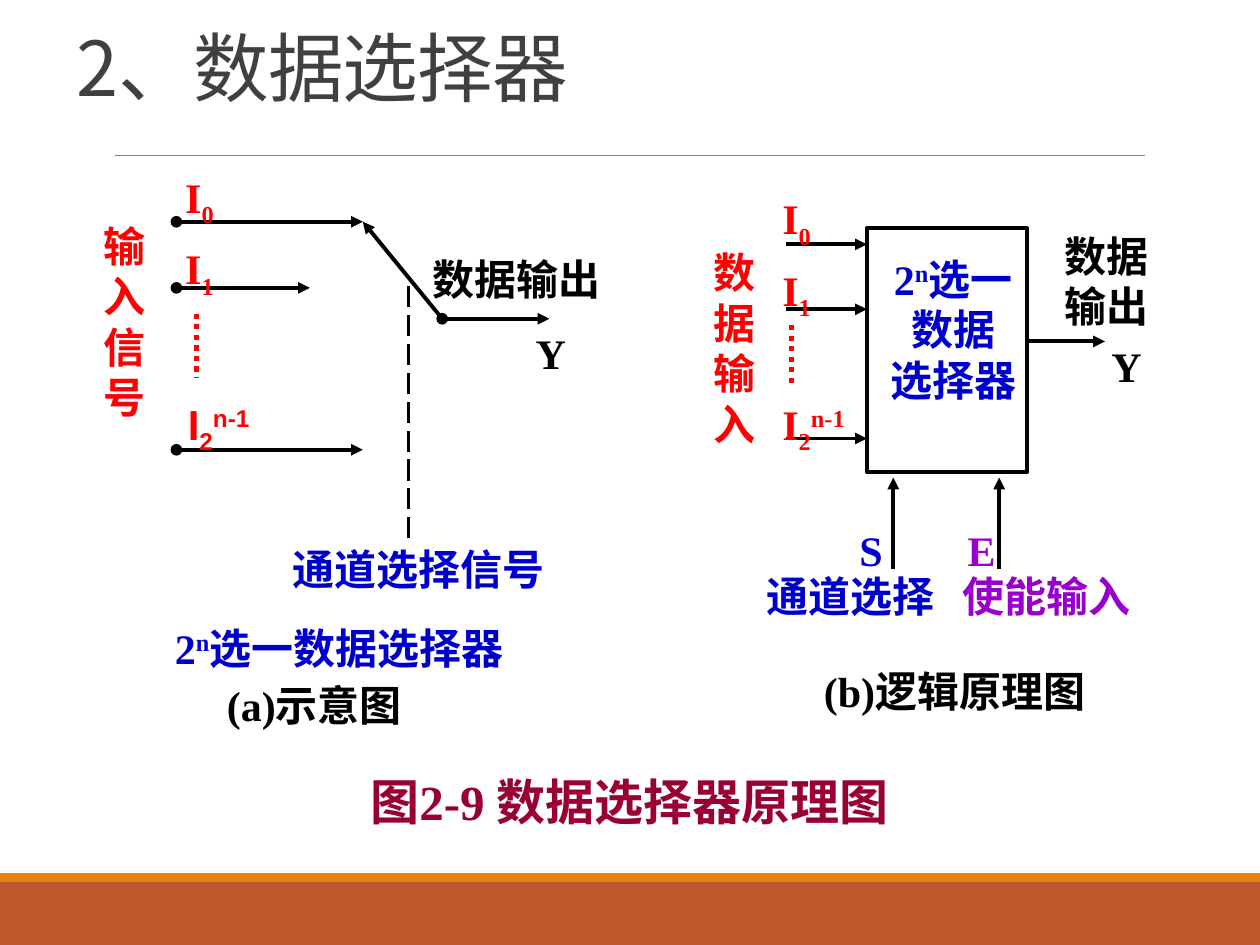
"""Build the data selector slide with its two diagrams."""
import dataclasses

import lxml.etree
import pptx
import pptx.dml.color
import pptx.enum.shapes
import pptx.enum.text
import pptx.oxml.ns
import pptx.util

Inches = pptx.util.Inches
ALIGN = pptx.enum.text.PP_ALIGN
SHAPE = pptx.enum.shapes.MSO_SHAPE
SUB, SUPER = -25000, 30000


@dataclasses.dataclass(frozen=True)
class Theme:
    """Hold colours, fonts and type sizes."""
    black: str = "000000"
    white: str = "FFFFFF"
    red: str = "FF0000"
    blue: str = "0000CC"
    purple: str = "9900CC"
    wine: str = "990033"
    title: str = "404040"
    rule: str = "808080"
    bar: str = "BD582C"
    stripe: str = "E48312"
    latin: str = "Times New Roman"
    sans: str = "Arial"
    chinese: str = "Noto Sans CJK SC"
    body_size: float = 24
    caption_size: float = 28
    title_size: float = 43.2


THEME = Theme()


def rgb(value):
    """Return a colour object for a hex value."""
    return pptx.dml.color.RGBColor.from_string(value)


def add_child(parent, tag, **attributes):
    """Append a drawing element to a parent element."""
    return lxml.etree.SubElement(parent, pptx.oxml.ns.qn(tag), attributes)


def write(frame, text, color=THEME.black, size=THEME.body_size, font=THEME.latin,
          bold=True, align=ALIGN.LEFT, indent=0, gaps=(), line_spacing=None, tracking=None):
    """Write paragraphs, each a string or a list of (text, baseline) runs."""
    paragraphs = [text] if isinstance(text, str) else text
    for index, content in enumerate(paragraphs):
        paragraph = frame.add_paragraph() if index else frame.paragraphs[0]
        paragraph.alignment = align
        paragraph.line_spacing = line_spacing
        if gaps:
            paragraph.space_before = pptx.util.Pt(gaps[index])
        if indent:
            properties = paragraph._p.get_or_add_pPr()
            properties.set("marL", str(Inches(indent)))
            properties.set("indent", "0")
        for words, baseline in [(content, 0)] if isinstance(content, str) else content:
            run = paragraph.add_run()
            run.text = words
            run.font.size = pptx.util.Pt(size)
            run.font.name = font
            run.font.bold = bold
            run.font.color.rgb = rgb(color)
            properties = run._r.get_or_add_rPr()
            add_child(properties, "a:ea", typeface=THEME.chinese)
            if baseline:
                properties.set("baseline", str(baseline))
            if tracking:
                properties.set("spc", str(tracking))


class Canvas:
    """Draw styled elements on the current slide."""

    def __init__(self, slide, theme):
        self.slide = slide
        self.theme = theme

    def title(self, text, left, top, width, height):
        """Place and fill the title placeholder."""
        shape = self.slide.shapes.title
        shape.left, shape.top = Inches(left), Inches(top)
        shape.width, shape.height = Inches(width), Inches(height)
        frame = shape.text_frame
        frame.auto_size = pptx.enum.text.MSO_AUTO_SIZE.NONE
        frame.vertical_anchor = pptx.enum.text.MSO_ANCHOR.BOTTOM
        write(frame, text, color=self.theme.title, size=self.theme.title_size,
              font=self.theme.chinese, bold=False, line_spacing=0.85, tracking=-50)

    def label(self, text, left, top, width, height, inset=(0, 0), **style):
        """Add a wrapping text box."""
        shape = self.slide.shapes.add_textbox(
            Inches(left), Inches(top), Inches(width), Inches(height))
        self.fill_text(shape.text_frame, text, inset, **style)

    def fill_text(self, frame, text, inset, **style):
        """Set the insets of a frame and write its text."""
        frame.word_wrap = True
        frame.vertical_anchor = pptx.enum.text.MSO_ANCHOR.TOP
        frame.margin_left = frame.margin_right = Inches(inset[0])
        frame.margin_top, frame.margin_bottom = Inches(inset[1]), 0
        write(frame, text, **style)

    def box(self, left, top, width, height, fill, outline=None):
        """Add a plain rectangle."""
        shape = self.slide.shapes.add_shape(
            SHAPE.RECTANGLE, Inches(left), Inches(top), Inches(width), Inches(height))
        shape.shadow.inherit = False
        shape.fill.solid()
        shape.fill.fore_color.rgb = rgb(fill)
        if outline:
            shape.line.color.rgb = rgb(outline)
            shape.line.width = pptx.util.Pt(2.25)
        else:
            shape.line.fill.background()
        return shape

    def line(self, start, end, color=THEME.black, width=2.25, dash=None, head=None, tail=None):
        """Add a straight line with optional dash and ends."""
        shape = self.slide.shapes.add_connector(
            pptx.enum.shapes.MSO_CONNECTOR.STRAIGHT,
            Inches(start[0]), Inches(start[1]), Inches(end[0]), Inches(end[1]))
        shape.line.color.rgb = rgb(color)
        shape.line.width = pptx.util.Pt(width)
        outline = shape.line._get_or_add_ln()
        for tag, value in (("a:prstDash", dash), ("a:headEnd", head), ("a:tailEnd", tail)):
            if value:
                key = "val" if tag == "a:prstDash" else "type"
                add_child(outline, tag, **{key: value})
        add_child(shape._element.spPr, "a:effectLst")

    def arrow(self, start, end, head=None):
        """Add a signal arrow."""
        self.line(start, end, head=head, tail="triangle")


def draw_frame(canvas):
    """Draw the title, its rule and the footer bars."""
    canvas.box(0, 7, 10, 0.5, THEME.bar)
    canvas.box(0, 6.93, 10, 0.07, THEME.stripe)
    canvas.line((0.91, 1.23), (9.09, 1.23), THEME.rule, 0.5)
    canvas.title("2、数据选择器", 0.51, 0.39, 9, 0.55)


def draw_switch(canvas, inputs, last_input):
    """Draw the schematic with its rotating switch."""
    for y, end in ((1.76, 2.88), (2.285, 2.46), (3.57, 2.88)):
        canvas.arrow((1.4, y), (end, y), head="oval")
    canvas.line((1.56, 2.49), (1.56, 3), THEME.red, 3, "sysDot")
    canvas.arrow((3.51, 2.53), (4.36, 2.53), head="oval")
    canvas.arrow((3.51, 2.53), (2.88, 1.76))
    canvas.line((3.24, 2.27), (3.24, 4.33), width=1.5, dash="lgDash")
    canvas.label(inputs, 1.47, 1.36, 0.32, 0.9, color=THEME.red, gaps=(8, 8))
    canvas.label([last_input], 1.49, 3.16, 0.71, 0.64, color=THEME.red, font=THEME.sans)
    canvas.label(list("输入信号"), 0.82, 1.75, 0.42, 1.56, color=THEME.red)
    canvas.label("数据输出", 3.43, 2.01, 1.41, 0.77)
    canvas.label("Y", 4.22, 2.6, 0.42, 0.38, indent=0.03)
    canvas.label("通道选择信号", 2.32, 4.31, 2.11, 0.52, color=THEME.blue)
    canvas.label([[("2", 0), ("n", SUPER), ("选一数据选择器", 0)]], 1.19, 4.89, 3.39, 0.5,
                 inset=(0.1, 0.05), color=THEME.blue, indent=0.1)


def draw_block(canvas, inputs, last_input):
    """Draw the logic block with its inputs and output."""
    block = canvas.box(6.88, 1.81, 1.27, 1.94, THEME.white, THEME.black)
    canvas.fill_text(block.text_frame,
                     [[("2", 0), ("n", SUPER), ("选一", 0)], "数据", "选择器"],
                     (0, 0.2), color=THEME.blue, align=ALIGN.CENTER, indent=0.1)
    for y in (1.94, 2.455, 3.48):
        canvas.arrow((6.24, y), (6.88, y))
    canvas.line((6.28, 2.58), (6.28, 3.06), THEME.red, 3, "sysDot")
    canvas.arrow((8.14, 2.71), (8.77, 2.71))
    canvas.label(inputs + [last_input], 6.21, 1.53, 0.57, 1.82,
                 color=THEME.red, gaps=(8, 8, 44))
    canvas.label(list("数据输入"), 5.66, 1.96, 0.43, 1.52, color=THEME.red)
    canvas.label("数据输出", 8.45, 1.83, 0.95, 0.73)
    canvas.label("Y", 8.32, 2.7, 0.63, 0.73, indent=0.5)
    controls = (("S", 6.82, 7.09, "通道选择", 6.08, THEME.blue),
                ("E", 7.68, 7.93, "使能输入", 7.64, THEME.purple))
    for letter, letter_x, arrow_x, name, name_x, color in controls:
        canvas.arrow((arrow_x, 4.52), (arrow_x, 3.79))
        canvas.label(letter, letter_x, 4.16, 0.25, 0.37, color=color)
        canvas.label(name, name_x, 4.53, 1.45, 0.4, color=color)


def main():
    """Build and save the presentation."""
    presentation = pptx.Presentation()
    presentation.slide_width, presentation.slide_height = Inches(10), Inches(7.5)
    slide = presentation.slides.add_slide(presentation.slide_layouts[5])
    canvas = Canvas(slide, THEME)
    inputs = [[("I", 0), (number, SUB)] for number in "01"]
    last_input = [("I", 0), ("2", SUB), ("n-1", SUPER)]
    draw_frame(canvas)
    draw_block(canvas, inputs, last_input)
    draw_switch(canvas, inputs, last_input)
    captions = (("(a)示意图", 0.98, 5.39, 2.53, 0.77, THEME.black, THEME.body_size),
                ("(b)逻辑原理图", 5.85, 5.28, 2.95, 0.77, THEME.black, THEME.body_size),
                ("图2-9 数据选择器原理图", 2.32, 6.12, 4.85, 0.52, THEME.wine, THEME.caption_size))
    for text, left, top, width, height, color, size in captions:
        canvas.label(text, left, top, width, height, color=color, size=size,
                     align=ALIGN.CENTER, indent=0.5)
    presentation.save("out.pptx")


if __name__ == "__main__":
    main()
